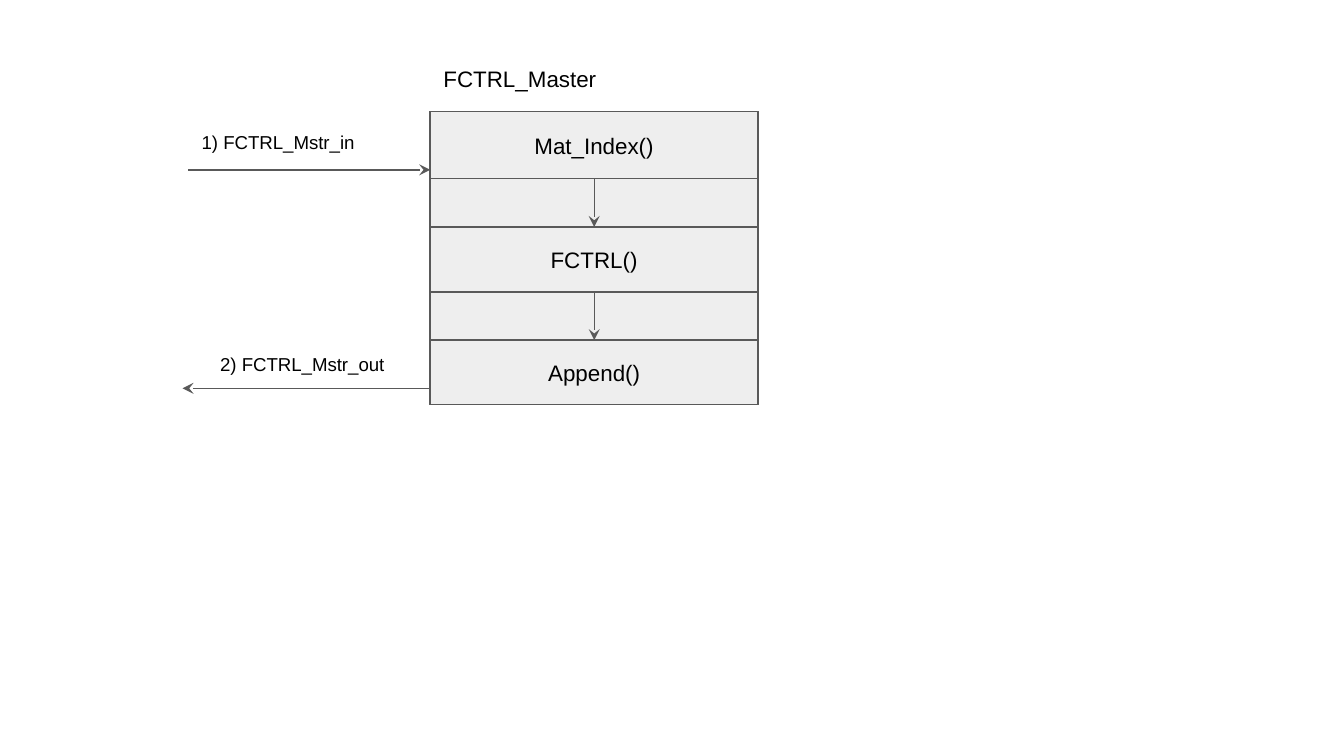
from lxml import etree
from pptx import Presentation
from pptx import util as u
from pptx.dml.color import RGBColor
from pptx.enum import shapes, text
from pptx.oxml import ns

INK, GREY, PALE = "000000", "595959", "EEEEEE"
LEFT, TOP, WIDTH, HEIGHT = 8.13, 2.11, 6.2, 5.54
STAGE_GAP = 0.91


def paint(color_format, value):
    color_format.rgb = RGBColor.from_string(value)


def write(holder, words, size=12, align=text.PP_ALIGN.LEFT,
          anchor=text.MSO_ANCHOR.TOP, fit=text.MSO_AUTO_SIZE.NONE):
    frame = holder.text_frame
    frame.word_wrap = True
    frame.auto_size = fit
    frame.vertical_anchor = anchor
    frame.margin_left = frame.margin_right = u.Cm(0.25)
    frame.margin_top = frame.margin_bottom = u.Cm(0.25)
    line = frame.paragraphs[0]
    line.alignment = align
    run = line.add_run()
    run.text = words
    run.font.name = "Arial"
    run.font.size = u.Pt(size)
    paint(run.font.color, INK)


def add_box(slide, top, height):
    box = slide.shapes.add_shape(
        shapes.MSO_SHAPE.RECTANGLE, u.Cm(LEFT), u.Cm(top), u.Cm(WIDTH), u.Cm(height))
    box.shadow.inherit = False
    box.fill.solid()
    paint(box.fill.fore_color, PALE)
    paint(box.line.color, GREY)
    box.line.width = u.Pt(0.75)
    return box


def add_arrow(slide, *ends):
    arrow = slide.shapes.add_connector(
        shapes.MSO_CONNECTOR.STRAIGHT, *(u.Cm(end) for end in ends))
    paint(arrow.line.color, GREY)
    arrow.line.width = u.Pt(0.75)
    outline = arrow.line._get_or_add_ln()
    etree.SubElement(outline, ns.qn("a:tailEnd"), type="stealth")
    etree.SubElement(arrow._element.spPr, ns.qn("a:effectLst"))


def add_label(slide, words, left, top, height):
    label = slide.shapes.add_textbox(u.Cm(left), u.Cm(top), u.Cm(3.96), u.Cm(height))
    write(label, words, size=10, fit=text.MSO_AUTO_SIZE.SHAPE_TO_FIT_TEXT)


def add_heading(slide, words):
    heading = slide.shapes.title
    heading.left, heading.top = u.Cm(LEFT), u.Cm(0.99)
    heading.width, heading.height = u.Cm(4.34), u.Cm(1.02)
    write(heading, words)


def add_stages(slide, stages):
    add_box(slide, TOP, HEIGHT)
    center = LEFT + WIDTH / 2
    top = TOP
    for words, height in stages:
        if top > TOP:
            add_arrow(slide, center, top - STAGE_GAP, center, top)
        stage = add_box(slide, top, height)
        write(stage, words, align=text.PP_ALIGN.CENTER, anchor=text.MSO_ANCHOR.MIDDLE)
        top += height + STAGE_GAP


def main():
    deck = Presentation()
    deck.slide_width, deck.slide_height = u.Cm(25.4), u.Cm(14.29)
    slide = deck.slides.add_slide(deck.slide_layouts[5])
    add_heading(slide, "FCTRL_Master")
    add_stages(slide, [("Mat_Index()", 1.27), ("FCTRL()", 1.23), ("Append()", 1.22)])
    add_arrow(slide, 3.56, 3.21, LEFT, 3.21)
    add_label(slide, "1) FCTRL_Mstr_in", 3.56, 2.26, 0.94)
    add_arrow(slide, LEFT, 7.34, 3.45, 7.34)
    add_label(slide, "2) FCTRL_Mstr_out", 3.91, 6.46, 1.37)
    deck.save("out.pptx")


main()
